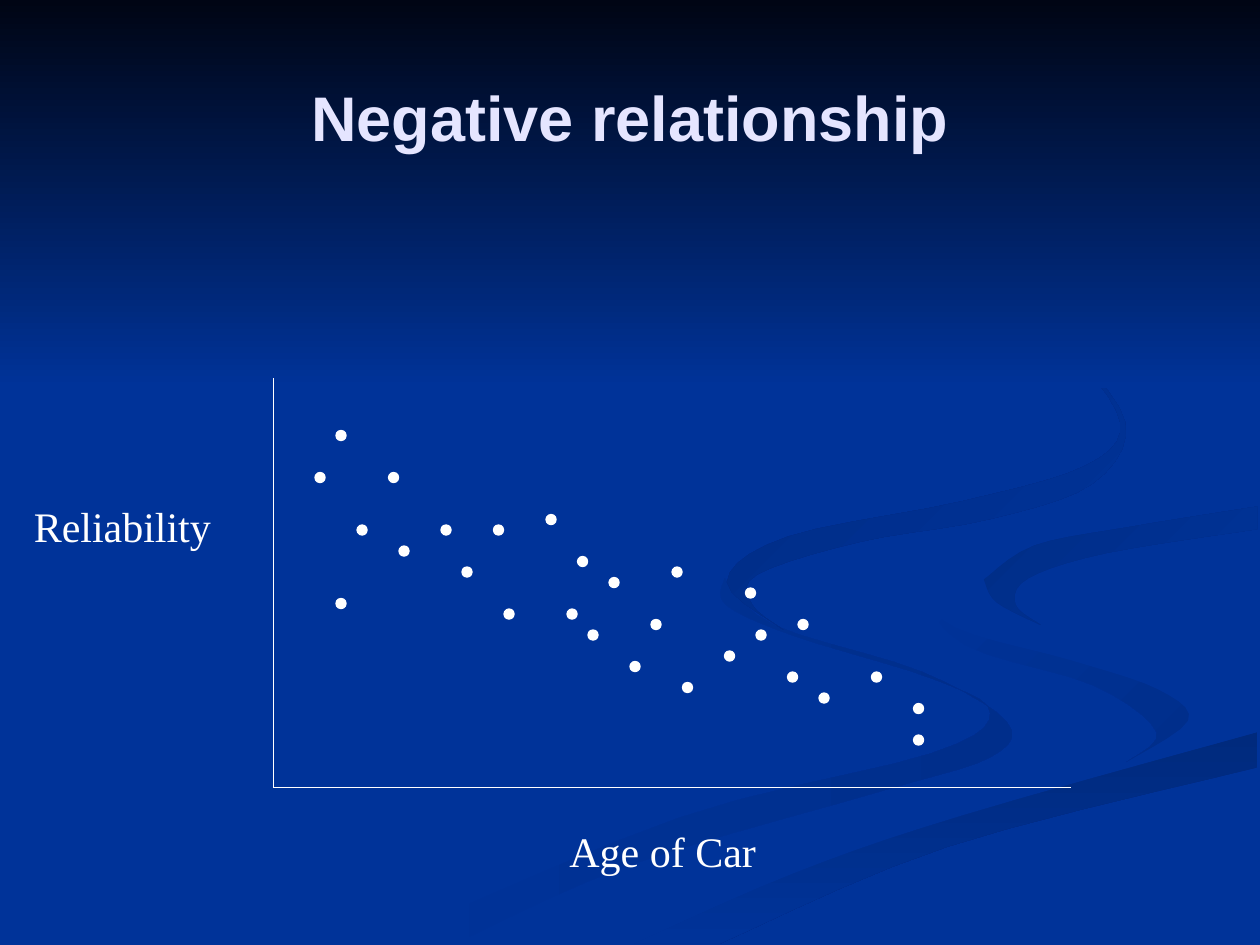
from typing import NamedTuple

from lxml.etree import SubElement
from pptx import Presentation
from pptx.dml.color import RGBColor
from pptx.enum.shapes import MSO_CONNECTOR, MSO_SHAPE
from pptx.enum.text import MSO_ANCHOR, MSO_AUTO_SIZE, PP_ALIGN
from pptx.oxml.ns import qn
from pptx.util import Inches, Pt

BLUE = "003399"
WHITE = "FFFFFF"
DOT_SIZE = 0.08
GRID_PER_INCH = 12
CURVE_STEPS = 5


class Ribbon(NamedTuple):
    edges: list
    start_color: str
    end_color: str
    angle: int


class Axis(NamedTuple):
    start: tuple
    end: tuple


class Label(NamedTuple):
    text: str
    left: float
    top: float
    width: float


BEND_OUTER = [(7.24, 4.64), (7.58, 4.98), (8.5, 5.24), (9.19, 5.47), (9.43, 5.72), (8.94, 6.05)]
SWEEP_TOP = [(5.03, 7.49), (6.3, 6.93), (7.64, 6.47), (9.98, 5.81)]
HOOK_TOP = [(7.81, 4.6), (8.21, 4.33), (8.98, 4.18), (9.98, 4.02)]

RIBBONS = [
    Ribbon([
        [(5.75, 4.59), (5.76, 4.8), (6.31, 5.05), (7.41, 5.39), (7.86, 5.66),
         (7.39, 5.98), (5.39, 6.49), (3, 7.49)],
        [(3.61, 7.49), (4.99, 6.87), (6.99, 6.28), (7.86, 6.01), (7.99, 5.73),
         (7.31, 5.33), (6.14, 4.96), (5.75, 4.59)],
    ], BLUE, "002E8B", 0),
    Ribbon([
        BEND_OUTER,
        [(8.94, 6.05), (9.18, 5.81), (8.68, 5.44), (7.66, 5.12), (7.24, 4.64)],
    ], BLUE, "002E8B", 45),
    Ribbon([SWEEP_TOP, [(9.98, 6.09), (7.52, 6.72), (5.71, 7.49)]], "002A7D", BLUE, 90),
    Ribbon([
        BEND_OUTER,
        [(8.94, 6.05), (7.43, 6.43), (4.77, 7.49)],
        SWEEP_TOP,
        [(9.98, 5.38), (8.48, 5.03), (7.81, 4.6)],
        HOOK_TOP,
        [(9.98, 3.87), (8.5, 4.11), (7.42, 4.39)],
    ], BLUE, BLUE, 0),
    Ribbon([
        HOOK_TOP,
        [(9.98, 4.2), (8.78, 4.39), (8.16, 4.59), (8.06, 4.8), (8.26, 4.96)],
        [(8.26, 4.96), (7.91, 4.78), (7.81, 4.6)],
    ], "002D86", BLUE, 45),
    Ribbon([
        [(7.62, 2.33), (8.43, 2.75), (8.93, 3.35), (8.67, 3.84), (7.86, 4.12),
         (6.83, 4.3), (6.01, 4.56), (5.97, 4.8), (6.22, 5)],
        [(6.22, 5), (5.77, 4.62), (6.25, 4.26), (7.63, 3.98), (8.61, 3.7),
         (8.89, 3.35), (8.46, 2.79), (7.62, 2.33)],
    ], "002B82", BLUE, 45),
    Ribbon([[(0, 0), (10, 0)], [(10, 3.08), (0, 3.08)]], "000514", BLUE, 90),
]

AXES = [Axis((2.17, 3), (2.17, 6.25)), Axis((2.17, 6.25), (8.5, 6.25))]

LABELS = [Label("Reliability", 0.17, 3.92, 1.61), Label("Age of Car", 4.42, 6.5, 1.68)]

DOT_COLUMNS_BY_ROW = {
    41: [32], 45: [30, 37], 49: [52], 50: [34, 42, 47], 52: [38], 53: [55],
    54: [44, 64], 55: [58], 56: [71], 57: [32], 58: [48, 54], 59: [62, 76],
    60: [56, 72], 62: [69], 63: [60], 64: [75, 83], 65: [65], 66: [78],
    67: [87], 70: [87],
}


def color(value: str) -> RGBColor:
    return RGBColor.from_string(value)


def blend(before: float, start: float, end: float, after: float, t: float) -> float:
    return start + t / 2 * (
        end - before
        + t * (2 * before - 5 * start + 4 * end - after)
        + t * t * (3 * (start - end) + after - before))


def smooth_edge(points: list) -> list:
    padded = [points[0], *points, points[-1]]
    curve = [
        tuple(blend(*values, step / CURVE_STEPS) for values in zip(*padded[index:index + 4]))
        for index in range(len(points) - 1)
        for step in range(CURVE_STEPS)
    ]
    return curve + [points[-1]]


def add_ribbon(slide, ribbon: Ribbon) -> None:
    points = [
        (Inches(x), Inches(y)) for edge in ribbon.edges for x, y in smooth_edge(edge)]
    builder = slide.shapes.build_freeform(*points[0])
    builder.add_line_segments(points[1:], close=True)
    shape = builder.convert_to_shape()
    shape.shadow.inherit = False
    shape.line.fill.background()
    if ribbon.start_color == ribbon.end_color:
        shape.fill.solid()
        shape.fill.fore_color.rgb = color(ribbon.start_color)
        return
    shape.fill.gradient()
    shape.fill.gradient_angle = (360 - ribbon.angle) % 360
    first_stop, last_stop = shape.fill.gradient_stops
    first_stop.position, last_stop.position = 0, 1
    first_stop.color.rgb = color(ribbon.start_color)
    last_stop.color.rgb = color(ribbon.end_color)


def add_axis(slide, axis: Axis) -> None:
    ends = [Inches(value) for value in axis.start + axis.end]
    connector = slide.shapes.add_connector(MSO_CONNECTOR.STRAIGHT, *ends)
    connector.line.color.rgb = color(WHITE)
    connector.line.width = Pt(0.75)
    SubElement(connector.element.spPr, qn("a:effectLst"))


def add_dot(slide, column: int, row: int) -> None:
    shape = slide.shapes.add_shape(
        MSO_SHAPE.OVAL, Inches(column / GRID_PER_INCH), Inches(row / GRID_PER_INCH),
        Inches(DOT_SIZE), Inches(DOT_SIZE))
    shape.shadow.inherit = False
    shape.fill.solid()
    shape.fill.fore_color.rgb = color(WHITE)
    shape.line.color.rgb = color(WHITE)
    shape.line.width = Pt(0.75)


def format_font(font, name: str, size: int, value: str, bold: bool = False) -> None:
    font.name, font.size, font.bold = name, Pt(size), bold
    font.color.rgb = color(value)


def add_label(slide, label: Label) -> None:
    shape = slide.shapes.add_textbox(
        Inches(label.left), Inches(label.top), Inches(label.width), Inches(0.5))
    text_frame = shape.text_frame
    text_frame.text = label.text
    text_frame.word_wrap = False
    text_frame.auto_size = MSO_AUTO_SIZE.SHAPE_TO_FIT_TEXT
    format_font(text_frame.paragraphs[0].runs[0].font, "Times New Roman", 24, WHITE)


def add_title(slide, text: str) -> None:
    title = slide.shapes.title
    title.element.getparent().append(title.element)
    title.left, title.top = Inches(0.5), Inches(0.3)
    title.width, title.height = Inches(9), Inches(1.25)
    title.text_frame.text = text
    title.text_frame.vertical_anchor = MSO_ANCHOR.MIDDLE
    paragraph = title.text_frame.paragraphs[0]
    paragraph.alignment = PP_ALIGN.CENTER
    format_font(paragraph.runs[0].font, "Arial", 36, "E5E5FF", bold=True)


def main() -> None:
    presentation = Presentation()
    presentation.slide_width, presentation.slide_height = Inches(10), Inches(7.5)
    slide = presentation.slides.add_slide(presentation.slide_layouts[5])
    slide.background.fill.solid()
    slide.background.fill.fore_color.rgb = color(BLUE)
    for ribbon in RIBBONS:
        add_ribbon(slide, ribbon)
    add_title(slide, "Negative relationship")
    for axis in AXES:
        add_axis(slide, axis)
    for label in LABELS:
        add_label(slide, label)
    for row, columns in DOT_COLUMNS_BY_ROW.items():
        for column in columns:
            add_dot(slide, column, row)
    presentation.save("out.pptx")


if __name__ == "__main__":
    main()
